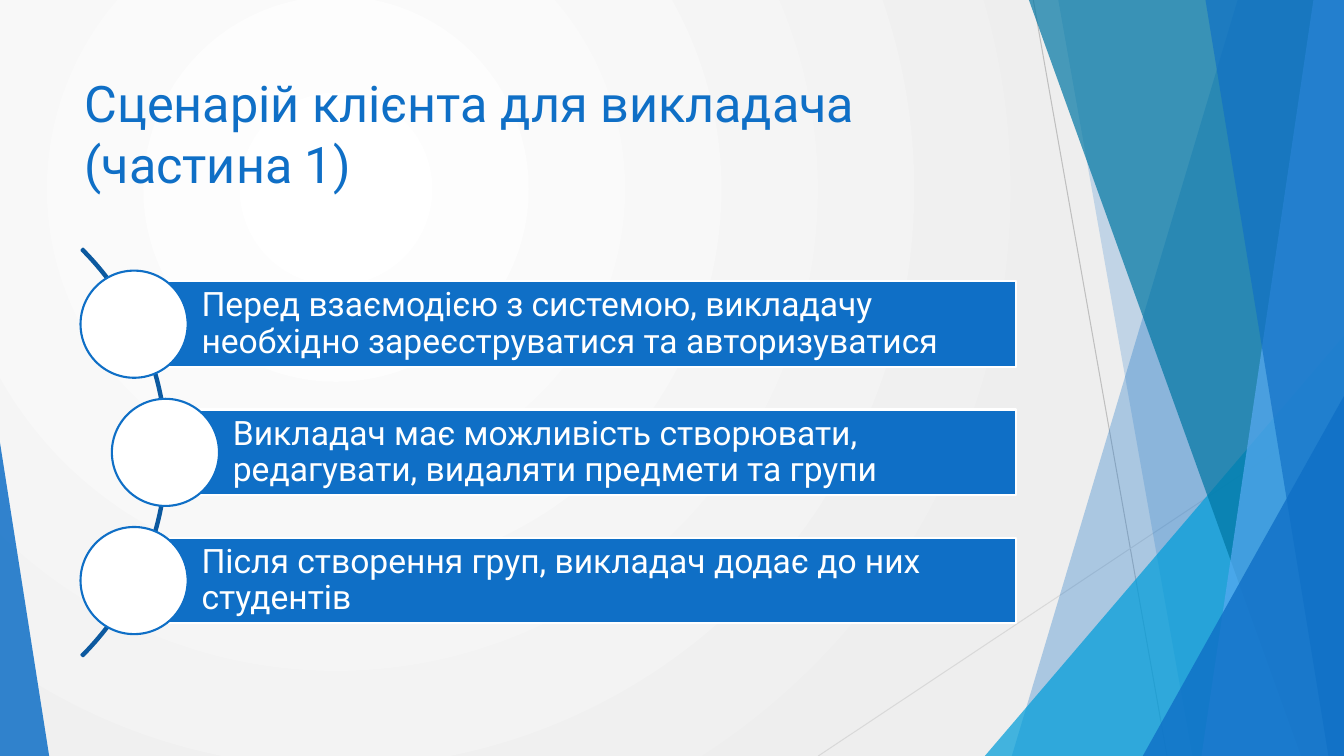
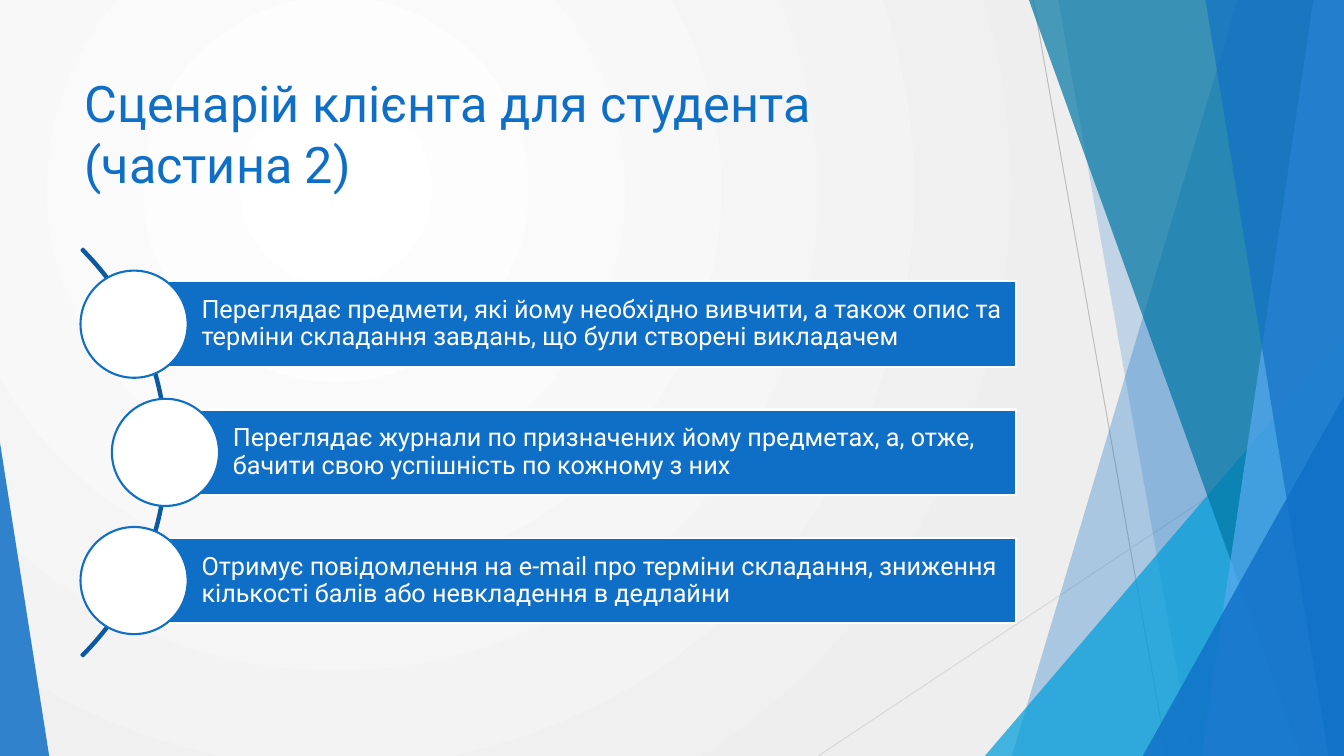
import dataclasses

import lxml.etree
import pptx
import pptx.dml.color
import pptx.enum.shapes
import pptx.enum.text
import pptx.oxml.ns
import pptx.util

Cm = pptx.util.Cm
Pt = pptx.util.Pt
Kind = pptx.enum.shapes.MSO_SHAPE
Anchor = pptx.enum.text.MSO_ANCHOR
Align = pptx.enum.text.PP_ALIGN
qn = pptx.oxml.ns.qn


@dataclasses.dataclass(frozen=True)
class Theme:
    font: str = "Roboto"
    blue: str = "0F6FC6"
    navy: str = "0C599F"
    sky: str = "59AAF2"
    cyan: str = "009DD9"
    teal: str = "0076A3"
    white: str = "FFFFFF"
    mist: str = "EEEEEE"
    gray: str = "BFBFBF"
    pale: str = "D9D9D9"
    title: int = 36
    large: int = 24
    small: int = 18
    thin: float = 0.75
    line: float = 1.5


THEME = Theme()
WIDE, TALL = 33.87, 19.05

# Full-height bands: top x, foot x, colour, opacity in percent
BANDS_BACK = [
    (31.19, 25.5, THEME.blue, 30),
    (26.67, 30.05, THEME.blue, 20),
]
BANDS_FRONT = [
    (25.93, 32.79, THEME.teal, 70),
    (33.1, 30.28, THEME.sky, 70),
    (30.38, 33.48, THEME.blue, 65),
]

# List of bars with round markers
BAR_LEFTS = (3.38, 4.17, 3.38)
BAR_RIGHT, BAR_TOP, BAR_TALL, BAR_STEP = 25.6, 7.09, 2.16, 3.23
DOT = 2.7
ARC_LEFT, ARC_TOP, ARC_SIZE = -10.31, 4.14, 14.53

# Title, text size, side inset, items
SLIDES = [
    ("Сценарій клієнта для викладача (частина 1)", THEME.large, 0.18, [
        "Перед взаємодією з системою, викладачу необхідно "
        "зареєструватися та авторизуватися",
        "Викладач має можливість створювати, редагувати, видаляти "
        "предмети та групи",
        "Після створення груп, викладач додає до них студентів",
    ]),
    ("Сценарій клієнта для студента (частина 2)", THEME.small, 0.13, [
        "Переглядає предмети, які йому необхідно вивчити, а також опис та "
        "терміни складання завдань, що були створені викладачем",
        "Переглядає журнали по призначених йому предметах, а, отже, "
        "бачити свою успішність по кожному з них",
        "Отримує повідомлення на e-mail про терміни складання, зниження "
        "кількості балів або невкладення в дедлайни",
    ]),
]


def rgb(code):
    return pptx.dml.color.RGBColor.from_string(code)


def add_node(parent, tag, **attrs):
    return lxml.etree.SubElement(parent, qn(tag), attrs)


def paint(shape, fill=None, line=None, alpha=100):
    """Set fill, outline and opacity in percent; None means no paint."""
    shape.shadow.inherit = False
    if fill:
        shape.fill.solid()
        shape.fill.fore_color.rgb = rgb(fill)
        if alpha < 100:
            color = next(shape.element.iter(qn("a:srgbClr")))
            add_node(color, "a:alpha", val=str(alpha * 1000))
    else:
        shape.fill.background()
    if line:
        shape.line.color.rgb = rgb(line)
        shape.line.width = Pt(THEME.line)
    else:
        shape.line.fill.background()


def add_shape(slide, kind, left, top, wide, tall, **look):
    shape = slide.shapes.add_shape(kind, Cm(left), Cm(top), Cm(wide), Cm(tall))
    paint(shape, **look)
    return shape


def add_line(slide, start, end, color):
    line = slide.shapes.add_connector(
        pptx.enum.shapes.MSO_CONNECTOR.STRAIGHT,
        *(Cm(n) for n in start + end))
    line.line.color.rgb = rgb(color)
    line.line.width = Pt(THEME.thin)
    add_node(line.element.find(qn("p:spPr")), "a:effectLst")


def add_band(slide, head, foot, color, alpha):
    """Fill from a slanted left edge to the right side of the slide."""
    pen = slide.shapes.build_freeform(Cm(head), 0)
    pen.add_line_segments([(Cm(WIDE), 0), (Cm(WIDE), Cm(TALL)),
                           (Cm(foot), Cm(TALL))])
    paint(pen.convert_to_shape(), fill=color, alpha=alpha)


def add_wedge(slide, left, right, top, peak, color, alpha):
    """Add a right triangle on the slide foot; peak 0 is left, 1 is right."""
    wedge = add_shape(slide, Kind.ISOSCELES_TRIANGLE, left, top,
                      right - left, TALL - top, fill=color, alpha=alpha)
    wedge.adjustments[0] = peak


def add_glow(slide):
    """Give the slide a round gradient, centred up and to the left."""
    fill = slide.background.fill
    fill.gradient()
    for stop, color in zip(fill.gradient_stops, (THEME.white, THEME.mist)):
        stop.color.rgb = rgb(color)
    grad = next(slide.background.element.iter(qn("a:gradFill")))
    grad.remove(grad.find(qn("a:lin")))
    circle = add_node(grad, "a:path", path="circle")
    add_node(circle, "a:fillToRect",
             l="50000", t="50000", r="100000", b="100000")


def add_decor(slide):
    add_glow(slide)
    add_line(slide, (26.04, 0), (29.41, TALL), THEME.gray)
    add_line(slide, (WIDE, 10.24), (20.62, TALL), THEME.pale)
    for band in BANDS_BACK:
        add_band(slide, *band)
    add_wedge(slide, 24.82, WIDE, 8.46, 1, THEME.cyan, 72)
    for band in BANDS_FRONT:
        add_band(slide, *band)
    add_wedge(slide, 28.8, WIDE, 9.98, 1, THEME.blue, 80)
    add_wedge(slide, 0, 1.24, 11.15, 0, THEME.blue, 85)


def write(shape, text, size, color):
    frame = shape.text_frame
    frame.word_wrap = True
    para = frame.paragraphs[0]
    para.text = text
    para.alignment = Align.LEFT
    para.font.name = THEME.font
    para.font.size = Pt(size)
    para.font.color.rgb = rgb(color)
    return frame


def add_title(slide, text):
    box = slide.shapes.add_textbox(Cm(1.88), Cm(1.7), Cm(23.88), Cm(3.66))
    frame = write(box, text, THEME.title, THEME.blue)
    frame.vertical_anchor = Anchor.TOP


def add_item(slide, left, top, text, size, inset):
    bar = add_shape(slide, Kind.RECTANGLE, left, top, BAR_RIGHT - left,
                    BAR_TALL, fill=THEME.blue, line=THEME.white)
    frame = write(bar, text, size, THEME.white)
    frame.vertical_anchor = Anchor.MIDDLE
    frame.margin_left = Cm(1.7)
    frame.margin_top = frame.margin_right = frame.margin_bottom = Cm(inset)
    frame.paragraphs[0].line_spacing = 0.9
    add_shape(slide, Kind.OVAL, left - DOT / 2, top + (BAR_TALL - DOT) / 2,
              DOT, DOT, fill=THEME.white, line=THEME.blue)


def add_list(slide, items, size, inset):
    arc = add_shape(slide, Kind.BLOCK_ARC, ARC_LEFT, ARC_TOP,
                    ARC_SIZE, ARC_SIZE, line=THEME.navy)
    for spot, value in enumerate((189, 27, 0.004)):
        arc.adjustments[spot] = value
    for row, (left, text) in enumerate(zip(BAR_LEFTS, items)):
        add_item(slide, left, BAR_TOP + row * BAR_STEP, text, size, inset)


def main():
    deck = pptx.Presentation()
    deck.slide_width, deck.slide_height = Cm(WIDE), Cm(TALL)
    blank = deck.slide_layouts[6]
    for title, size, inset, items in SLIDES:
        slide = deck.slides.add_slide(blank)
        add_decor(slide)
        add_title(slide, title)
        add_list(slide, items, size, inset)
    deck.save("out.pptx")


if __name__ == "__main__":
    main()
